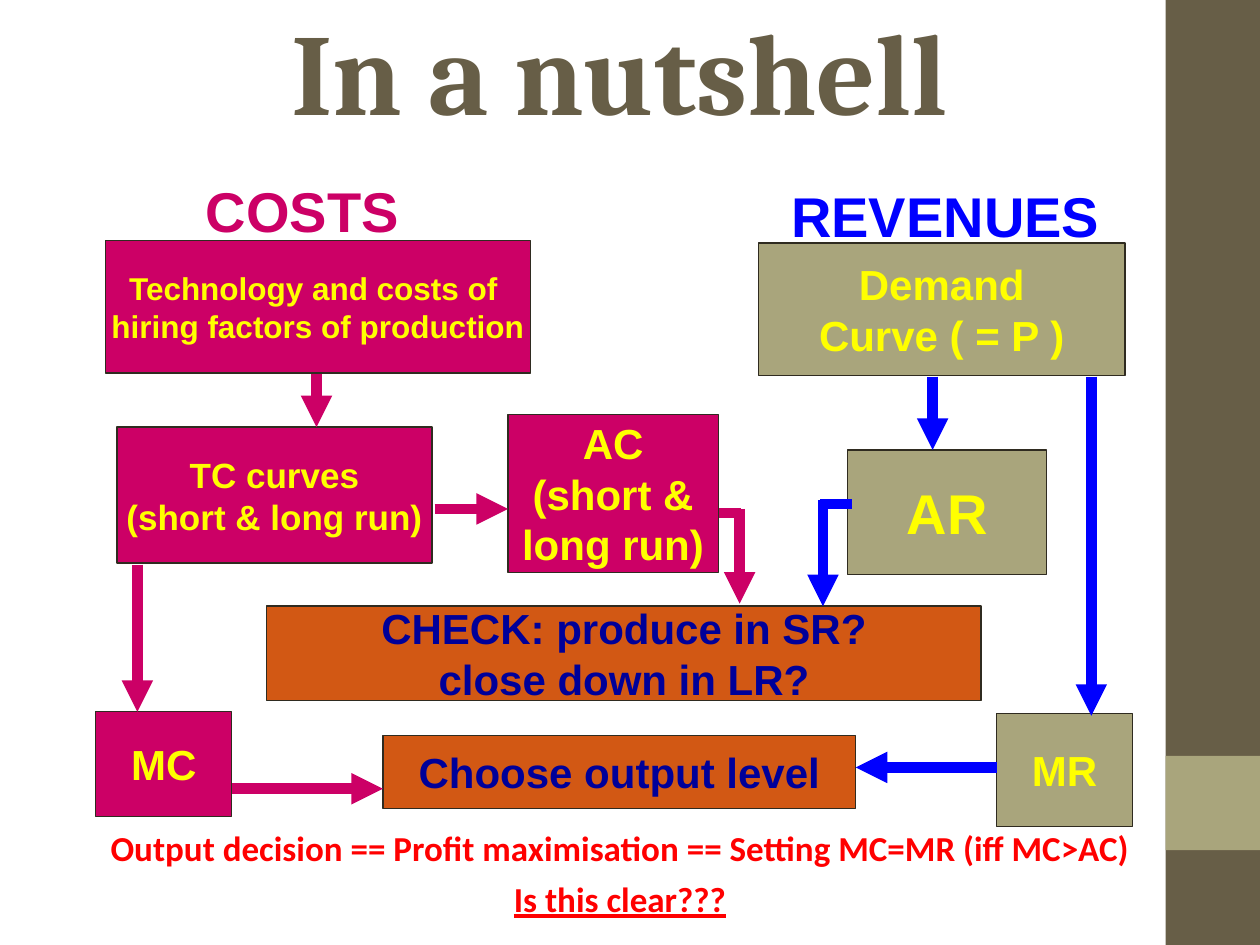
from lxml import etree
from pptx import Presentation
from pptx.dml.color import RGBColor
from pptx.enum.shapes import MSO_CONNECTOR, MSO_SHAPE
from pptx.enum.text import MSO_ANCHOR, PP_ALIGN
from pptx.oxml.ns import qn
from pptx.util import Cm, Pt

RECT, STRAIGHT = MSO_SHAPE.RECTANGLE, MSO_CONNECTOR.STRAIGHT
LEFT, CENTER = PP_ALIGN.LEFT, PP_ALIGN.CENTER
TOP, MIDDLE, BOTTOM = MSO_ANCHOR.TOP, MSO_ANCHOR.MIDDLE, MSO_ANCHOR.BOTTOM

COLORS = {
    "brown": "675E47", "khaki": "A9A57C", "outline": "2F2B20",
    "cost": "CC0066", "revenue": "0000FF", "decision": "D25814",
    "yellow": "FFFF00", "navy": "000099", "red": "FF0000",
}

# All positions in cm: left, top, width, height
SIDEBAR = [
    ((23.5, 0, 1.9, 19.05), "brown"),
    ((23.5, 15.24, 1.9, 1.9), "khaki"),
]
TITLE = ((1.7, 0.46, 21.59, 2.46), "In a nutshell")
CONCLUSION = (
    (1.5, 16.54, 22, 2.13),
    ["Output decision == Profit maximisation == Setting MC=MR (iff MC>AC)",
     "Is this clear???"],
)
HEADINGS = [
    ((3.9, 3.43, 4.6, 1.63), "COSTS", "cost"),
    ((15.7, 3.53, 6.9, 1.63), "REVENUES", "revenue"),
]
# place, lines, size, fill, text colour
BOXES = [
    ((2.13, 4.85, 8.56, 2.67),
     ["Technology and costs of ", "hiring factors of production"], 18, "cost", "yellow"),
    ((2.36, 8.61, 6.35, 2.74), ["TC curves", "(short & long run)"], 20, "cost", "yellow"),
    ((10.24, 8.36, 4.24, 3.18), ["AC", "(short &", "long run)"], 24, "cost", "yellow"),
    ((1.93, 14.35, 2.74, 2.11), ["MC"], 24, "cost", "yellow"),
    ((15.29, 4.9, 7.39, 2.67), ["Demand", "Curve ( = P )"], 24, "khaki", "yellow"),
    ((17.09, 9.07, 4.01, 2.51), ["AR"], 32, "khaki", "yellow"),
    ((20.09, 14.38, 2.74, 2.29), ["MR"], 24, "khaki", "yellow"),
    ((5.38, 12.22, 14.4, 1.9),
     ["CHECK: produce in SR?", "close down in LR?"], 24, "decision", "navy"),
    ((7.72, 14.83, 9.53, 1.47), ["Choose output level"], 24, "decision", "navy"),
]
# x1, y1, x2, y2, colour, has arrowhead
LINES = [
    (6.38, 7.54, 6.38, 8.61, "cost", True),
    (8.76, 10.26, 10.24, 10.26, "cost", True),
    (2.77, 11.38, 2.77, 14.35, "cost", True),
    (14.5, 10.34, 14.94, 10.34, "cost", False),
    (14.91, 10.26, 14.91, 12.17, "cost", True),
    (4.67, 15.9, 7.72, 15.9, "cost", True),
    (18.8, 7.59, 18.8, 9.07, "revenue", True),
    (22, 7.59, 22, 14.43, "revenue", True),
    (17.17, 10.16, 16.54, 10.16, "revenue", False),
    (16.59, 10.08, 16.59, 12.22, "revenue", True),
    (20.09, 15.47, 17.25, 15.47, "revenue", True),
]


def rgb(name):
    return RGBColor.from_string(COLORS[name])


def write(sp, lines, size, color, font="Arial", align=CENTER, anchor=MIDDLE, wrap=False, gap=0):
    """Fill a shape with bold paragraphs and return its text frame."""
    tf = sp.text_frame
    tf.word_wrap = wrap
    tf.vertical_anchor = anchor
    for i, line in enumerate(lines):
        p = tf.add_paragraph() if i else tf.paragraphs[0]
        p.alignment = align
        if i and gap:
            p.space_before = Pt(gap)
        r = p.add_run()
        r.text = line
        r.font.name, r.font.size, r.font.bold = font, Pt(size), True
        r.font.color.rgb = rgb(color)
    return tf


def add_rect(s, place, fill):
    sp = s.shapes.add_shape(RECT, *map(Cm, place))
    sp.shadow.inherit = False
    sp.fill.solid()
    sp.fill.fore_color.rgb = rgb(fill)
    sp.line.fill.background()
    return sp


def add_box(s, place, lines, size, fill, color):
    sp = add_rect(s, place, fill)
    sp.line.color.rgb = rgb("outline")
    sp.line.width = Pt(0.75)
    write(sp, lines, size, color)


def add_text(s, place, lines, size, color, **style):
    sp = s.shapes.add_textbox(*map(Cm, place))
    return write(sp, lines, size, color, wrap=True, **style)


def add_line(s, x1, y1, x2, y2, color, arrow):
    cx = s.shapes.add_connector(STRAIGHT, Cm(x1), Cm(y1), Cm(x2), Cm(y2))
    cx.line.color.rgb = rgb(color)
    cx.line.width = Pt(6)
    sp_pr = cx._element.spPr
    if arrow:
        etree.SubElement(sp_pr.find(qn("a:ln")), qn("a:tailEnd"), type="triangle")
    etree.SubElement(sp_pr, qn("a:effectLst"))


def main():
    prs = Presentation()
    prs.slide_width, prs.slide_height = Cm(25.4), Cm(19.05)
    s = prs.slides.add_slide(prs.slide_layouts[6])

    for place, fill in SIDEBAR:
        add_rect(s, place, fill)
    place, title = TITLE
    add_text(s, place, [title], 66, "brown", font="Cambria", anchor=BOTTOM)
    place, lines = CONCLUSION
    tf = add_text(s, place, lines, 20, "red", font="Calibri", anchor=TOP, gap=5)
    tf.paragraphs[-1].runs[0].font.underline = True
    for place, heading, color in HEADINGS:
        add_text(s, place, [heading], 32, color, align=LEFT, anchor=TOP)
    for box in BOXES:
        add_box(s, *box)
    for line in LINES:
        add_line(s, *line)

    prs.save("out.pptx")


if __name__ == "__main__":
    main()
